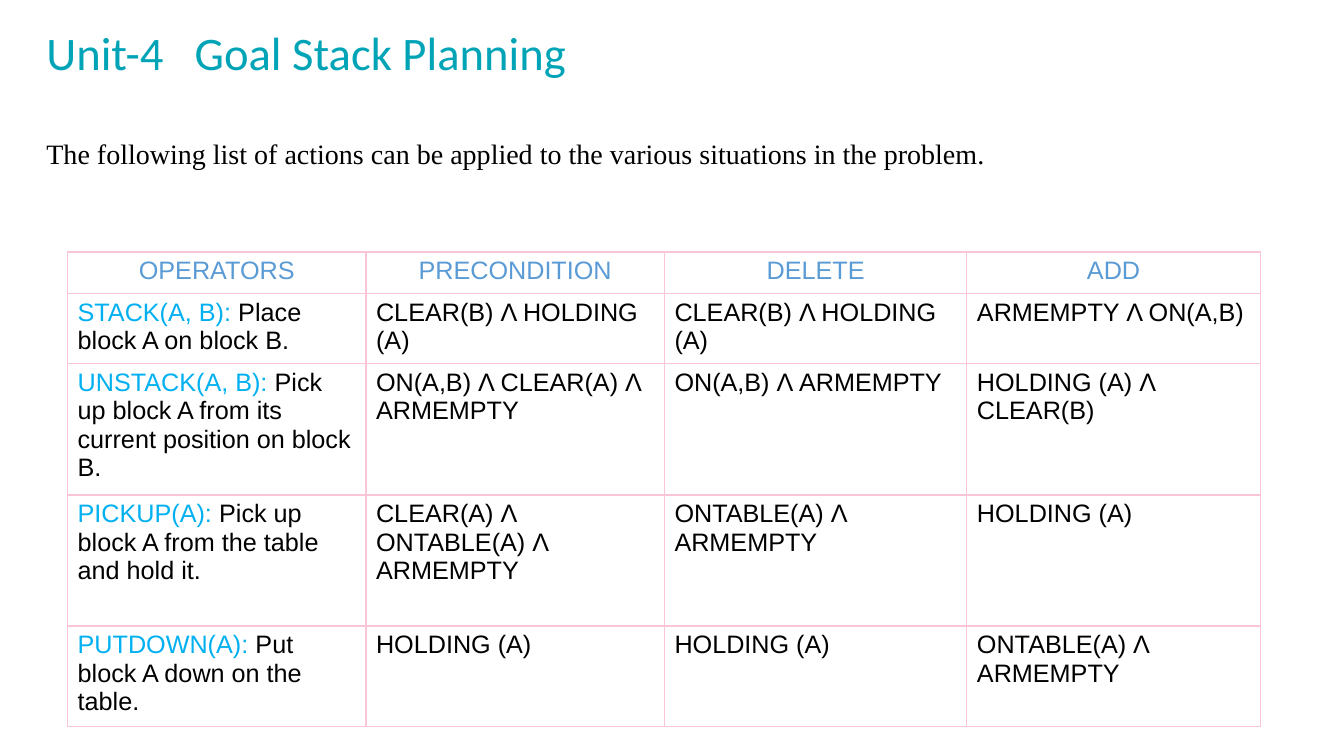
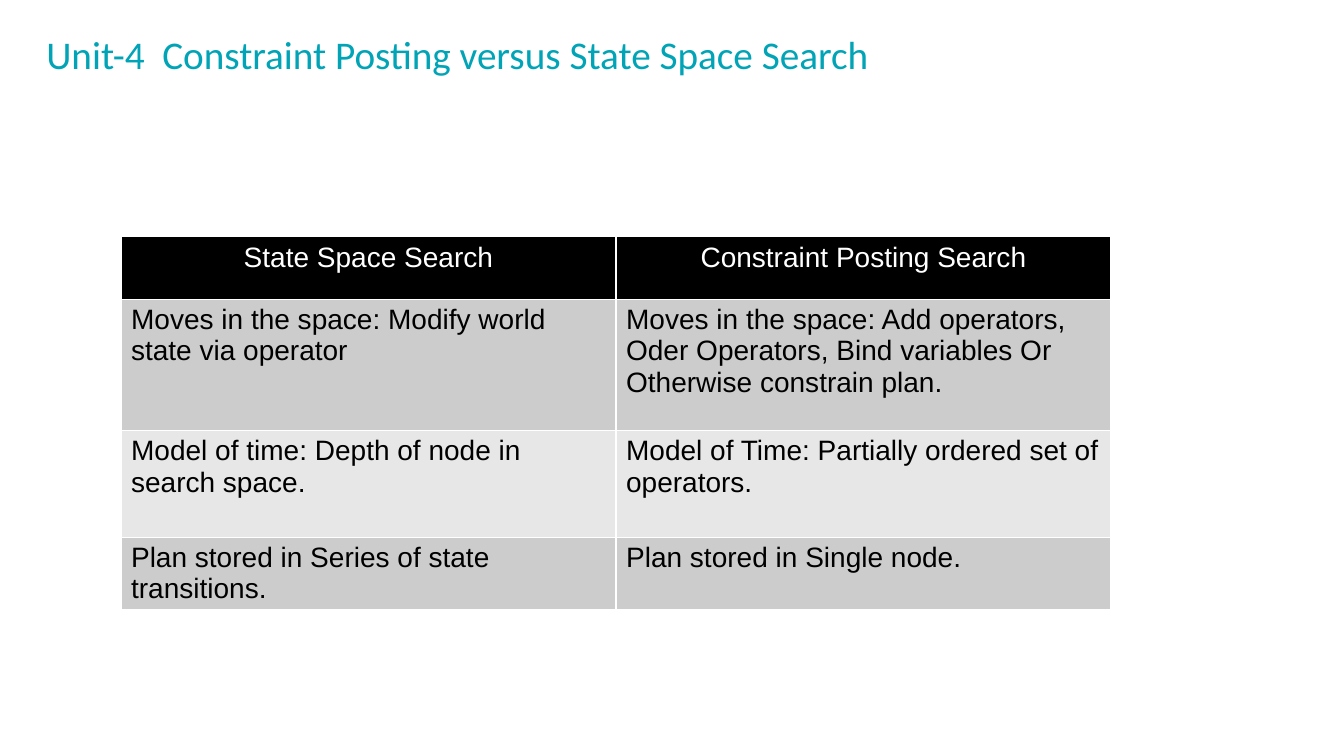
from dataclasses import dataclass
from typing import Any, Optional

from lxml import etree
from pptx import Presentation
from pptx.dml.color import RGBColor
from pptx.enum import text
from pptx.oxml import ns
from pptx.util import Inches, Pt

TEAL = RGBColor(0x00, 0xA4, 0xB6)
BLACK = RGBColor(0x00, 0x00, 0x00)
WHITE = RGBColor(0xFF, 0xFF, 0xFF)
PINK = RGBColor(0xF9, 0xC5, 0xD7)
HEADER_BLUE = RGBColor(0x5B, 0x9B, 0xD5)
OPERATOR_BLUE = RGBColor(0x00, 0xB0, 0xF0)
DARK_GREY = RGBColor(0xCC, 0xCC, 0xCC)
LIGHT_GREY = RGBColor(0xE7, 0xE7, 0xE7)

TITLE_AND_BODY, TITLE_ONLY = 1, 5


@dataclass(frozen=True)
class TableStyle:
    size: float
    border: RGBColor
    header_color: RGBColor
    header_fill: Optional[RGBColor] = None
    band_fills: tuple[Optional[RGBColor], ...] = (None,)
    label_color: Optional[RGBColor] = None


@dataclass(frozen=True)
class TableContent:
    left: float
    top: float
    columns: tuple[float, ...]
    heights: tuple[float, ...]
    rows: tuple[tuple[str, ...], ...]


OPERATOR_STYLE = TableStyle(18, PINK, HEADER_BLUE, label_color=OPERATOR_BLUE)
OPERATORS = TableContent(
    0.67, 2.5, (2.96, 2.96, 3, 2.91), (0.41, 0.7, 1.3, 1.3, 1),
    (
        ("OPERATORS", "PRECONDITION", "DELETE", "ADD"),
        ("STACK(A, B): Place block A on block B.", "CLEAR(B) Λ HOLDING (A)",
         "CLEAR(B) Λ HOLDING (A)", "ARMEMPTY Λ ON(A,B)"),
        ("UNSTACK(A, B): Pick up block A from its current position on block B.",
         "ON(A,B) Λ CLEAR(A) Λ\nARMEMPTY", "ON(A,B) Λ ARMEMPTY", "HOLDING (A) Λ CLEAR(B)"),
        ("PICKUP(A): Pick up block A from the table and hold it.",
         "CLEAR(A) Λ ONTABLE(A) Λ\nARMEMPTY", "ONTABLE(A) Λ ARMEMPTY", "HOLDING (A)"),
        ("PUTDOWN(A): Put block A down on the table.", "HOLDING (A)",
         "HOLDING (A)", "ONTABLE(A) Λ ARMEMPTY"),
    ),
)

SEARCH_STYLE = TableStyle(20, WHITE, WHITE, BLACK, (DARK_GREY, LIGHT_GREY))
SEARCHES = TableContent(
    1.2, 2.35, (4.91, 4.91), (0.62, 1.3, 1.06, 0.71),
    (
        ("State Space Search", "Constraint Posting Search"),
        ("Moves in the space: Modify world state via operator",
         "Moves in the space: Add operators, Oder Operators, Bind variables Or "
         "Otherwise constrain plan."),
        ("Model of time: Depth of node in search space.",
         "Model of Time: Partially ordered set of operators."),
        ("Plan stored in Series of state transitions.", "Plan stored in Single node."),
    ),
)


def set_attributes(target: Any, values: dict[str, Any]) -> None:
    for name, value in values.items():
        setattr(target, name, value)


def add_run(paragraph: Any, words: str, font: str, size: float, color: RGBColor) -> None:
    run = paragraph.add_run()
    run.text = words
    set_attributes(run.font, {"name": font, "size": Pt(size), "bold": False})
    run.font.color.rgb = color


def place_text(shape: Any, box: tuple[float, ...], margin: float, line_spacing: float) -> Any:
    """Move a placeholder, reset its layout and return its first paragraph."""
    set_attributes(shape, dict(zip(("left", "top", "width", "height"), map(Inches, box))))
    set_attributes(shape.text_frame, {
        "word_wrap": True,
        "auto_size": text.MSO_AUTO_SIZE.NONE,
        "vertical_anchor": text.MSO_ANCHOR.TOP,
        "margin_left": Inches(0.1),
        "margin_right": Inches(0.1),
        "margin_top": Inches(margin),
        "margin_bottom": Inches(margin),
    })
    paragraph = shape.text_frame.paragraphs[0]
    set_attributes(paragraph, {
        "alignment": text.PP_ALIGN.LEFT, "line_spacing": line_spacing, "space_before": Pt(0),
    })
    return paragraph


def add_title(slide: Any, unit: str, topic: str, size: float, topic_tab: float,
              line_spacing: float = 1.0) -> None:
    """Write the unit and, at a tab stop, the topic."""
    paragraph = place_text(slide.shapes.title, (0.36, 0.2, 9.32, 0.75), 0.1, line_spacing)
    tabs = etree.SubElement(paragraph._p.get_or_add_pPr(), ns.qn("a:tabLst"))
    etree.SubElement(tabs, ns.qn("a:tab"), pos=str(Inches(topic_tab)), algn="l")
    add_run(paragraph, f"{unit}\t{topic}", "Calibri", size, TEAL)


def add_body(slide: Any, words: str) -> None:
    paragraph = place_text(slide.placeholders[1], (0.36, 1.3, 12.21, 0.44), 0.05, 1.0)
    properties = paragraph._p.get_or_add_pPr()
    properties.set("marL", "0")
    properties.set("indent", "0")
    etree.SubElement(properties, ns.qn("a:buNone"))
    add_run(paragraph, words, "Times New Roman", 20, BLACK)


def set_borders(cell: Any, color: RGBColor) -> None:
    properties = cell._tc.get_or_add_tcPr()
    for side in ("lnL", "lnR", "lnT", "lnB"):
        line = etree.SubElement(properties, ns.qn(f"a:{side}"), w=str(Pt(1)))
        fill = etree.SubElement(line, ns.qn("a:solidFill"))
        etree.SubElement(fill, ns.qn("a:srgbClr"), val=str(color))


def fill_cell(cell: Any, color: Optional[RGBColor]) -> None:
    if color is None:
        cell.fill.background()
    else:
        cell.fill.solid()
        cell.fill.fore_color.rgb = color


def write_cell(cell: Any, words: str, style: TableStyle, is_header: bool, is_label: bool) -> None:
    """Write one paragraph per line; a label cell colours the words up to the colon."""
    for index, line in enumerate(words.split("\n")):
        frame = cell.text_frame
        paragraph = frame.add_paragraph() if index else frame.paragraphs[0]
        paragraph.alignment = text.PP_ALIGN.CENTER if is_header else text.PP_ALIGN.LEFT
        if is_label and style.label_color is not None:
            label, line = line.split(": ", 1)
            add_run(paragraph, f"{label}: ", "Arial", style.size, style.label_color)
        add_run(paragraph, line, "Arial", style.size, style.header_color if is_header else BLACK)


def add_table(slide: Any, content: TableContent, style: TableStyle) -> None:
    table = slide.shapes.add_table(
        len(content.rows), len(content.columns), Inches(content.left), Inches(content.top),
        Inches(sum(content.columns)), Inches(sum(content.heights)),
    ).table
    set_attributes(table, {"first_row": False, "horz_banding": False})
    for column, width in zip(table.columns, content.columns):
        column.width = Inches(width)
    for row_index, (row, height) in enumerate(zip(content.rows, content.heights)):
        table.rows[row_index].height = Inches(height)
        is_header = row_index == 0
        band = style.band_fills[(row_index - 1) % len(style.band_fills)]
        for column_index, words in enumerate(row):
            cell = table.cell(row_index, column_index)
            set_borders(cell, style.border)
            fill_cell(cell, style.header_fill if is_header else band)
            write_cell(cell, words, style, is_header, column_index == 0 and not is_header)


def main() -> None:
    presentation = Presentation()
    set_attributes(presentation, {"slide_width": Inches(13.33), "slide_height": Inches(7.5)})
    layouts = presentation.slide_layouts

    slide = presentation.slides.add_slide(layouts[TITLE_AND_BODY])
    add_title(slide, "Unit-4", "Goal Stack Planning", 33.3, 1.47, 0.9)
    add_body(slide, "The following list of actions can be applied to the various "
                    "situations in the problem.")
    add_table(slide, OPERATORS, OPERATOR_STYLE)

    slide = presentation.slides.add_slide(layouts[TITLE_ONLY])
    add_title(slide, "Unit-4", "Constraint Posting versus State Space Search", 28, 1.15)
    add_table(slide, SEARCHES, SEARCH_STYLE)

    presentation.save("out.pptx")


if __name__ == "__main__":
    main()
